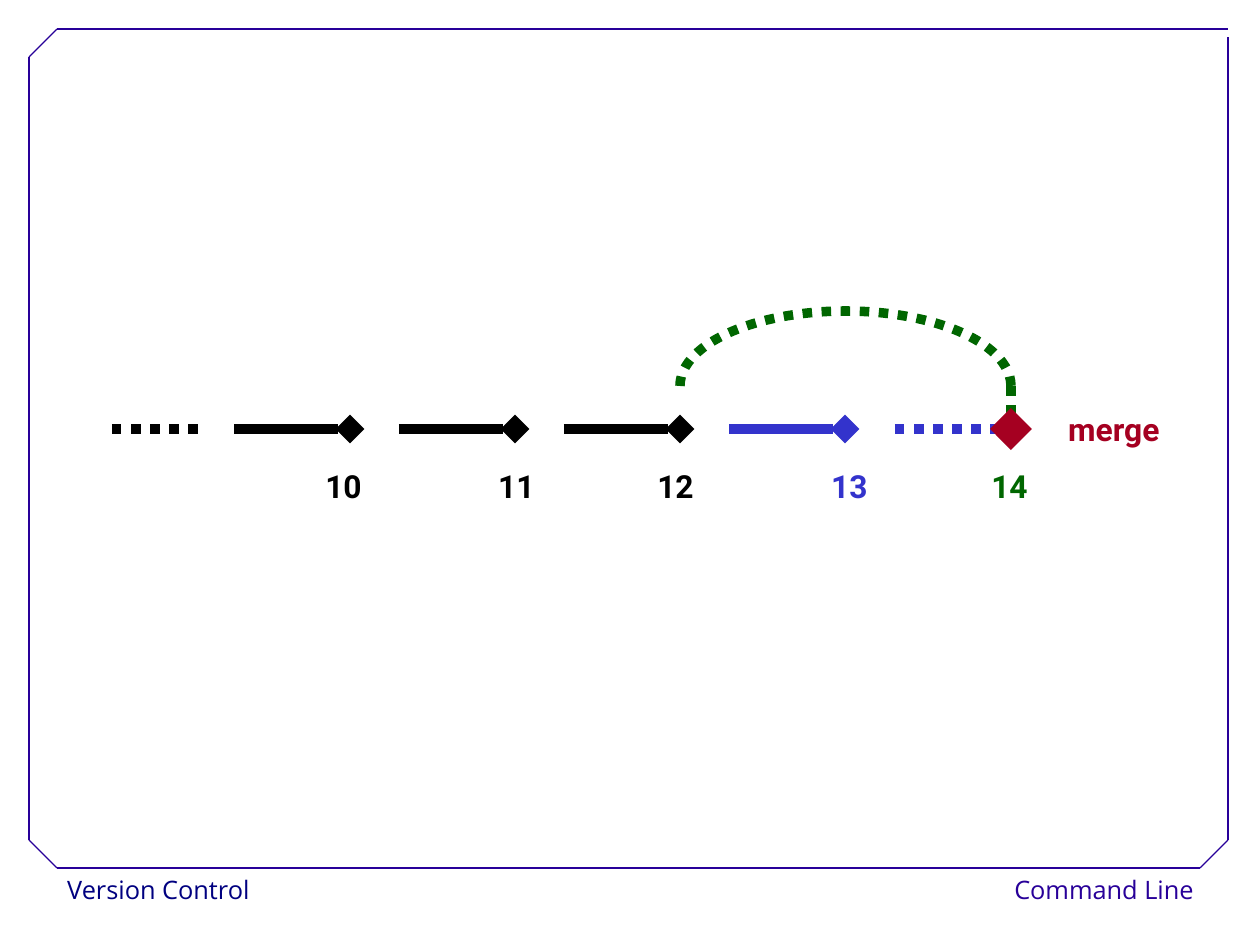
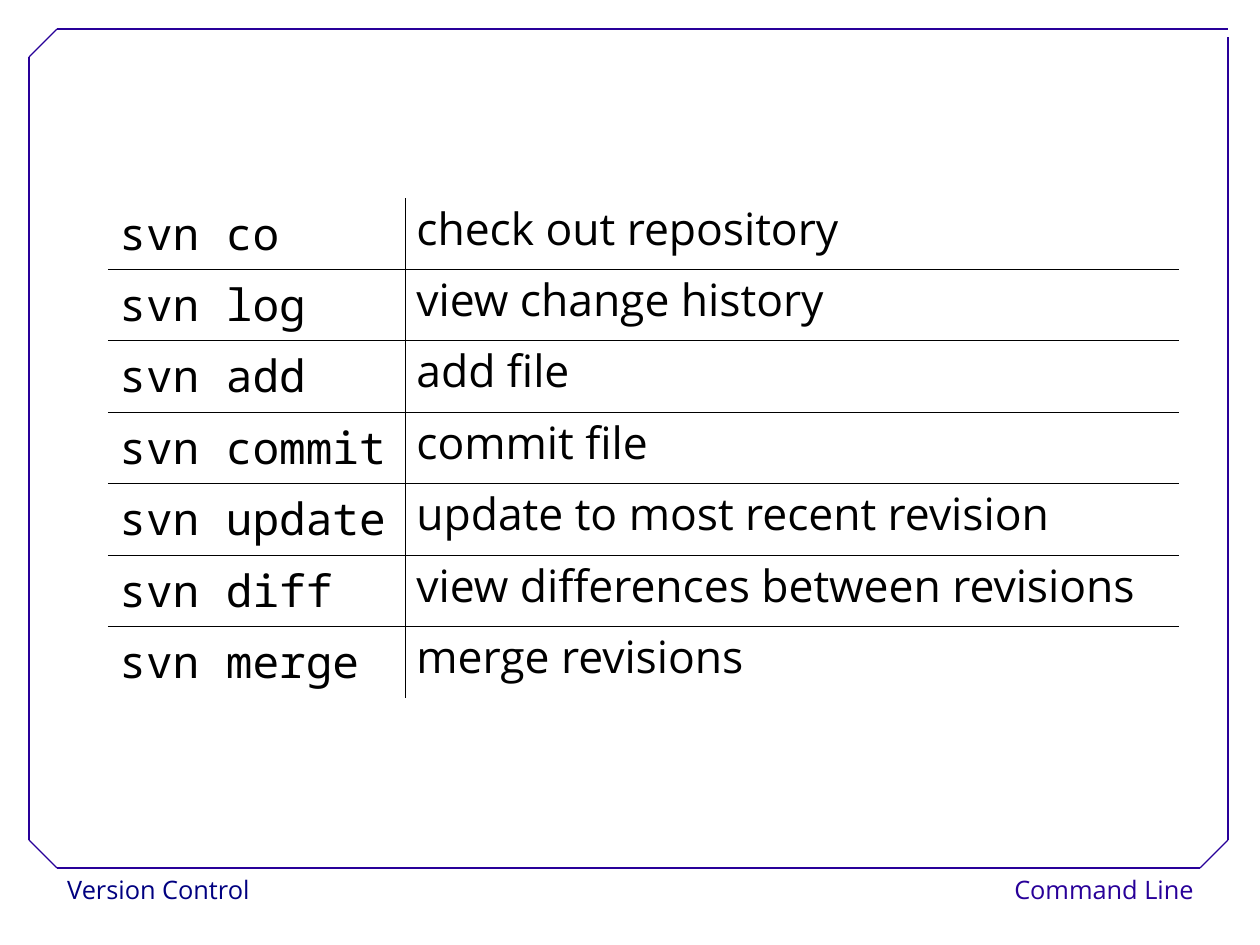
from dataclasses import dataclass
from itertools import pairwise

from pptx import Presentation
from pptx.dml.color import RGBColor
from pptx.enum.dml import MSO_LINE
from pptx.enum.shapes import MSO_CONNECTOR, MSO_SHAPE
from pptx.enum.text import PP_ALIGN as Align
from pptx.oxml.ns import qn
from pptx.oxml.xmlchemy import OxmlElement as new_element
from pptx.util import Emu, Pt

PX = 8000  # EMU in one px


@dataclass(frozen=True)
class Theme:
    black: str = "000000"
    navy: str = "000080"
    violet: str = "280099"
    blue: str = "3333CC"
    green: str = "006600"
    red: str = "A50021"
    sans: str = "Open Sans"
    mono: str = "Noto Sans Mono"
    label: str = "Roboto"
    footer_size: int = 16
    label_size: int = 20
    table_size: int = 28
    frame_width: float = 0.75
    branch_width: float = 6
    rule_width: float = 0.45


THEME = Theme()

# Shared frame and footers
SLIDE_SIZE = (1260, 945)
FRAME = [(1228, 29), (57, 29), (29, 57), (29, 840),
         (57, 868), (1200, 868), (1228, 840), (1228, 37)]
FOOTERS = [  # text, box, colour, alignment
    ("Version Control", (56, 868, 246, 46), THEME.navy, Align.LEFT),
    ("Command Line", (985, 868, 220, 46), THEME.violet, Align.RIGHT),
]

# Branch diagram
COMMITS = [  # revision, label left, colour
    ("10", 314, THEME.black), ("11", 487, THEME.black),
    ("12", 646, THEME.black), ("13", 820, THEME.blue),
    ("14", 980, THEME.green),
]
FIRST_X, LAST_X, TRUNK_Y = 350, 1011, 429
SEGMENT = 116
BRANCH_Y, BRANCH_RISE = 386, 75
MERGE_SIZE = 42

# Command table
COMMANDS = [
    ("svn co", "check out repository"),
    ("svn log", "view change history"),
    ("svn add", "add file"),
    ("svn commit", "commit file"),
    ("svn update", "update to most recent revision"),
    ("svn diff", "view differences between revisions"),
    ("svn merge", "merge revisions"),
]
TABLE_BOX = (108, 198, 1071, 500)
COLUMNS = [(297, THEME.mono, 0.97), (774, THEME.sans, 0.87)]  # width, font, spacing


def px(*lengths):
    return [Emu(length * PX) for length in lengths]


def rgb(colour):
    return RGBColor.from_string(colour)


def set_text(frame, text, font, size, colour, spacing, bold=False, align=Align.LEFT):
    paragraph = frame.paragraphs[0]
    paragraph.text = text
    paragraph.alignment = align
    paragraph.line_spacing = spacing
    paragraph.font.name = font
    paragraph.font.size = Pt(size)
    paragraph.font.bold = bold
    paragraph.font.color.rgb = rgb(colour)


def add_text(slide, box, *style, **options):
    frame = slide.shapes.add_textbox(*px(*box)).text_frame
    frame.word_wrap = False
    set_text(frame, *style, **options)


def style_line(line, colour, width, dotted=False):
    line.color.rgb = rgb(colour)
    line.width = Pt(width)
    if dotted:
        line.dash_style = MSO_LINE.ROUND_DOT


def add_line(slide, start, end, colour, width, dotted=False, diamond=False):
    connector = slide.shapes.add_connector(MSO_CONNECTOR.STRAIGHT, *px(*start, *end))
    style_line(connector.line, colour, width, dotted)
    properties = connector.element.spPr
    if diamond:
        tail = new_element("a:tailEnd")
        tail.set("type", "diamond")
        properties.find(qn("a:ln")).append(tail)
    properties.append(new_element("a:effectLst"))
    return connector


def build_layout(presentation):
    """Put the frame and footers on the blank layout; return it with a first slide."""
    layout = presentation.slide_layouts[6]
    for placeholder in list(layout.placeholders):
        layout.shapes.element.remove(placeholder.element)
    slide = presentation.slides.add_slide(layout)
    for text, box, colour, align in FOOTERS:
        add_text(slide, box, text, THEME.sans, THEME.footer_size, colour, 1.02, align=align)
    for start, end in pairwise(FRAME):
        add_line(slide, start, end, THEME.violet, THEME.frame_width)
    for shape in list(slide.shapes):
        layout.shapes.element.append(shape.element)
    return layout, slide


def build_branches(slide):
    width = THEME.branch_width
    nodes = [FIRST_X + (LAST_X - FIRST_X) * index // (len(COMMITS) - 1)
             for index in range(len(COMMITS))]

    # Trunk
    add_line(slide, (112, TRUNK_Y), (205, TRUNK_Y), THEME.black, width, dotted=True)
    for x, (revision, label_x, colour) in zip(nodes, COMMITS):
        if x < LAST_X:
            add_line(slide, (x - SEGMENT, TRUNK_Y), (x, TRUNK_Y), colour, width, diamond=True)
        add_text(slide, (label_x, 465, 59, 47), revision, THEME.label,
                 THEME.label_size, colour, 0.93, bold=True)

    # Branch from revision 12 to the merge
    branch_x = nodes[2]
    arc = slide.shapes.add_shape(MSO_SHAPE.ARC, *px(
        branch_x, BRANCH_Y - BRANCH_RISE, LAST_X - branch_x, 2 * BRANCH_RISE))
    arc.adjustments[0] = 108  # half turn, in units of 100000 / 60000 degree
    arc.adjustments[1] = 0
    arc.shadow.inherit = False
    arc.fill.background()
    style_line(arc.line, THEME.green, width, dotted=True)
    add_line(slide, (LAST_X, BRANCH_Y), (LAST_X, TRUNK_Y), THEME.green, width,
             dotted=True, diamond=True)

    # Merge point
    add_line(slide, (LAST_X - SEGMENT, TRUNK_Y), (1005, TRUNK_Y), THEME.blue, width, dotted=True)
    add_text(slide, (1057, 408, 126, 47), "merge", THEME.label,
             THEME.label_size, THEME.red, 0.93, bold=True)
    merge = slide.shapes.add_shape(MSO_SHAPE.DIAMOND, *px(
        LAST_X - MERGE_SIZE // 2, TRUNK_Y - MERGE_SIZE // 2, MERGE_SIZE, MERGE_SIZE))
    merge.shadow.inherit = False
    merge.fill.solid()
    merge.fill.fore_color.rgb = rgb(THEME.red)
    merge.line.fill.background()


def set_borders(cell, visible):
    """Draw the sides named in visible (letters of LRTB) and clear the others."""
    properties = cell._tc.get_or_add_tcPr()
    for index, side in enumerate("LRTB"):
        line = new_element(f"a:ln{side}")
        line.set("w", str(Pt(THEME.rule_width)))
        if side in visible:
            fill = new_element("a:solidFill")
            colour = new_element("a:srgbClr")
            colour.set("val", THEME.black)
            fill.append(colour)
        else:
            fill = new_element("a:noFill")
        line.append(fill)
        properties.insert(index, line)


def build_commands(slide):
    count, height = len(COMMANDS), TABLE_BOX[3]
    table = slide.shapes.add_table(count, len(COLUMNS), *px(*TABLE_BOX)).table
    table.first_row = table.horz_banding = False
    for column, (width, _, _) in zip(table.columns, COLUMNS):
        column.width = Emu(width * PX)
    for row, texts in enumerate(COMMANDS):
        table.rows[row].height = Emu((height * (row + 1) // count - height * row // count) * PX)
        for column, (text, (_, font, spacing)) in enumerate(zip(texts, COLUMNS)):
            cell = table.cell(row, column)
            cell.fill.background()
            set_text(cell.text_frame, text, font, THEME.table_size, THEME.black, spacing)
            set_borders(cell, ("L" if column else "R")
                        + ("T" if row else "") + ("B" if row < count - 1 else ""))


def main():
    presentation = Presentation()
    presentation.slide_width, presentation.slide_height = px(*SLIDE_SIZE)
    layout, branch_slide = build_layout(presentation)
    build_branches(branch_slide)
    build_commands(presentation.slides.add_slide(layout))
    presentation.save("out.pptx")


if __name__ == "__main__":
    main()
